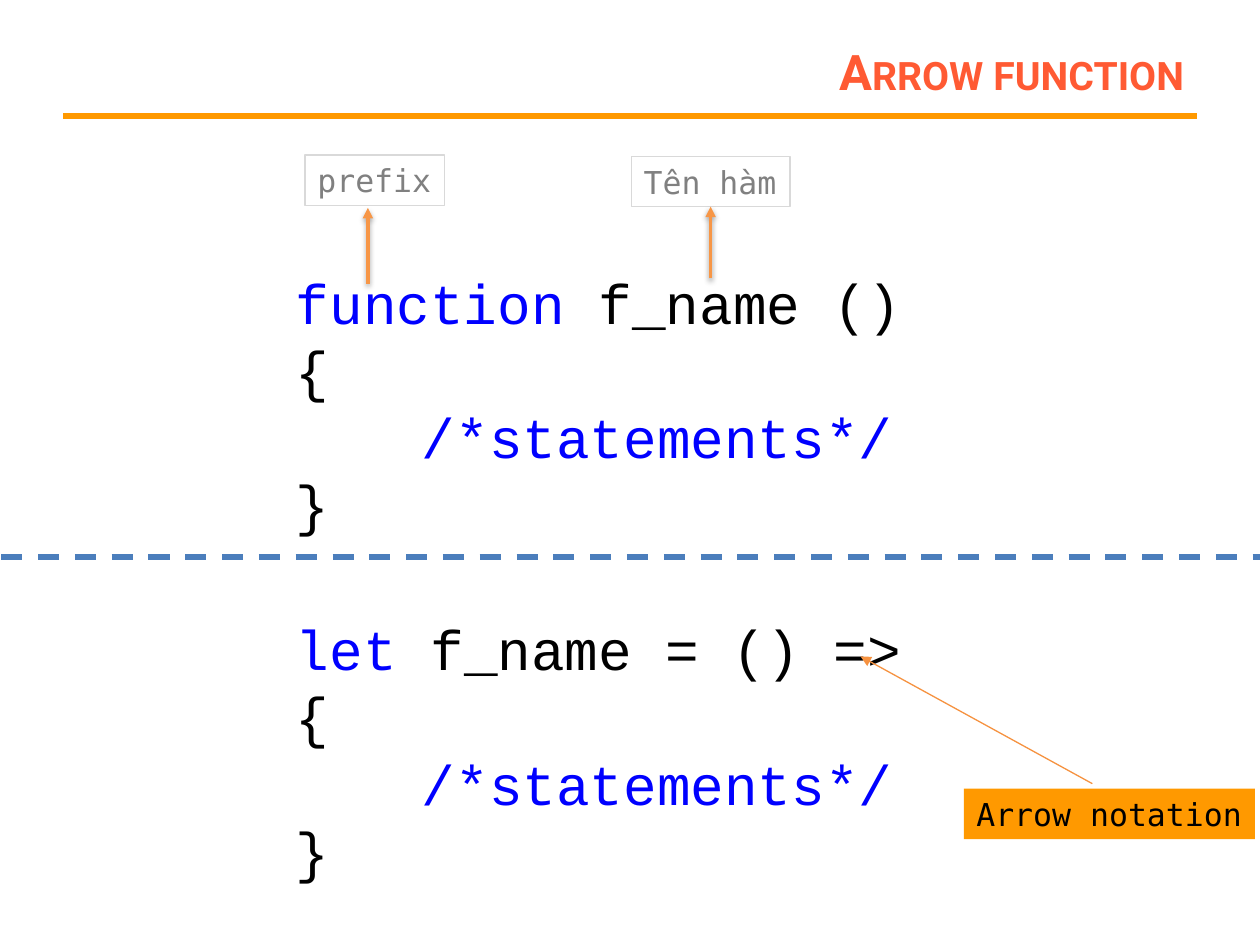
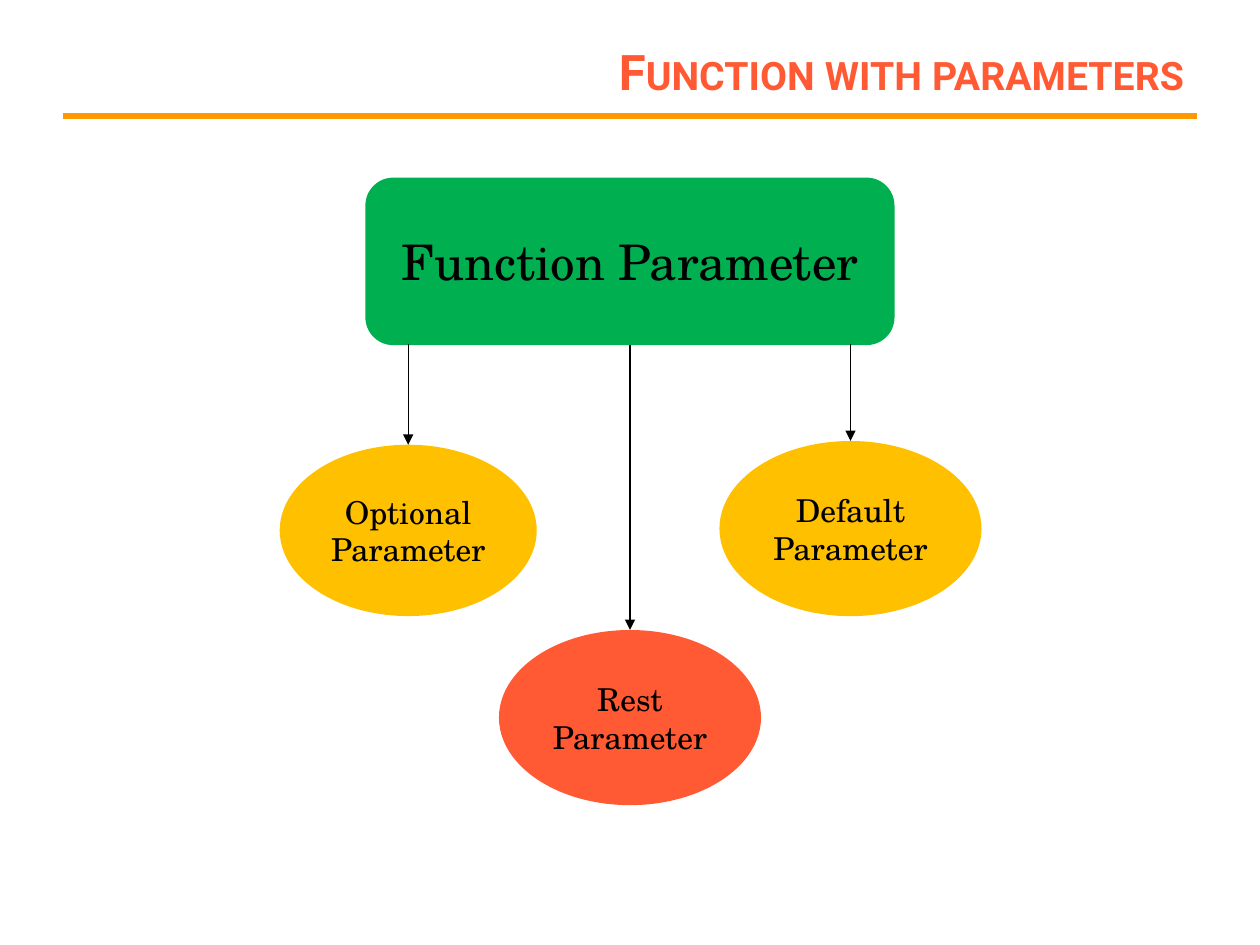
import pptx
import pptx.dml.color
import pptx.enum.dml
import pptx.enum.shapes
import pptx.enum.text
import pptx.oxml
import pptx.oxml.ns
import pptx.util
from pptx.util import Inches

COLORS = {
    "title": "FF5A33", "orange": "FF9900", "keyword": "0000FF", "black": "000000",
    "divider": "4B7EBC", "label": "808080", "label border": "D9D9D9",
    "label arrow": "F79646", "notation arrow": "F69240",
    "green": "00B050", "amber": "FFC000",
}
SHAPE = pptx.enum.shapes.MSO_SHAPE
ALIGN = pptx.enum.text.PP_ALIGN
MIDDLE = pptx.enum.text.MSO_ANCHOR.MIDDLE
RGB = pptx.dml.color.RGBColor.from_string


def add_run(paragraph, text, font_name, size, color):
    run = paragraph.add_run()
    run.text = text
    run.font.name = font_name
    run.font.size = pptx.util.Pt(size)
    run.font.color.rgb = RGB(COLORS[color])
    return run


def add_line(slide, start, end, color, width, arrow=True, shadow=False):
    """Draw a straight line; the theme's own shadow stays only if asked for."""
    line = slide.shapes.add_connector(
        pptx.enum.shapes.MSO_CONNECTOR.STRAIGHT, *map(Inches, start + end))
    line.line.color.rgb = RGB(COLORS[color])
    line.line.width = pptx.util.Pt(width)
    properties = line._element.spPr
    if arrow:
        tail = pptx.oxml.parse_xml(
            f'<a:tailEnd {pptx.oxml.ns.nsdecls("a")} type="triangle"/>')
        properties.find(pptx.oxml.ns.qn("a:ln")).append(tail)
    if not shadow:
        properties.append(pptx.oxml.parse_xml(
            f'<a:effectLst {pptx.oxml.ns.nsdecls("a")}/>'))
    return line


deck = pptx.Presentation()
deck.slide_width, deck.slide_height = Inches(10), Inches(7.5)

# Shared layout: title position, title style and the rule below it
layout = deck.slide_layouts[5]
layout_title = layout.placeholders[0]
layout_title.left, layout_title.top = Inches(2.25), Inches(0.3)
layout_title.width, layout_title.height = Inches(7.25), Inches(0.53)

slides = []
for heading in ("Arrow function", "Function with parameters"):
    slide = deck.slides.add_slide(layout)
    slide.shapes.title.text_frame.vertical_anchor = MIDDLE
    title_paragraph = slide.shapes.title.text_frame.paragraphs[0]
    title_paragraph.alignment = ALIGN.RIGHT
    title_run = add_run(title_paragraph, heading, "Roboto", 28, "title")
    title_run.font.bold = True
    title_run.font._element.set("cap", "small")
    slides.append(slide)
syntax_slide, parameter_slide = slides

title_rule = add_line(syntax_slide, (0.5, 0.92), (9.5, 0.92), "orange", 3, arrow=False)
layout.shapes._spTree.append(title_rule._element)

# Slide 1: the two ways to write a function, each line with its indent
function_body = [
    (0, [("{", "black")]),
    (1, [("/*statements*/", "keyword")]),
    (0, [("}", "black")]),
]
signatures = [
    (2.08, [("function ", "keyword"), ("f_name ()", "black")]),
    (4.83, [("let ", "keyword"), ("f_name = () =>", "black")]),
]
for top, signature in signatures:
    code = syntax_slide.shapes.add_textbox(
        Inches(2.25), Inches(top), Inches(6.26), Inches(2.26)).text_frame
    code.word_wrap = True
    for index, (indent, code_line) in enumerate([(0, signature)] + function_body):
        paragraph = code.add_paragraph() if index else code.paragraphs[0]
        paragraph.line_spacing = 1.0
        paragraph._p.get_or_add_pPr().set("marL", str(Inches(indent)))
        for text, color in code_line:
            add_run(paragraph, text, "Courier New", 32, color)

callouts = {}
for text, left, top, width, fill, border, color in [
    ("Arrow notation", 7.65, 6.26, 2.31, "orange", None, "black"),
    ("prefix", 2.42, 1.23, 1.11, None, "label border", "label"),
    ("Tên hàm", 5.01, 1.24, 1.26, None, "label border", "label"),
]:
    callout = syntax_slide.shapes.add_shape(
        SHAPE.RECTANGLE, Inches(left), Inches(top), Inches(width), Inches(0.4))
    callout.shadow.inherit = False
    if fill:
        callout.fill.solid()
        callout.fill.fore_color.rgb = RGB(COLORS[fill])
    else:
        callout.fill.background()
    if border:
        callout.line.color.rgb = RGB(COLORS[border])
        callout.line.width = pptx.util.Pt(0.75)
    else:
        callout.line.fill.background()
    callout.text_frame.word_wrap = False
    paragraph = callout.text_frame.paragraphs[0]
    paragraph.alignment = ALIGN.LEFT
    add_run(paragraph, text, "DejaVu Sans Mono", 18, color)
    callouts[text] = callout

add_line(syntax_slide, (8.67, 6.22), (6.83, 5.21), "notation arrow", 0.75)
divider = add_line(syntax_slide, (0.01, 4.42), (10, 4.42), "divider", 3, arrow=False)
divider.line.dash_style = pptx.enum.dml.MSO_LINE.DASH
add_line(syntax_slide, (2.92, 2.25), (2.92, 1.65), "label arrow", 2, shadow=True)
name_arrow = add_line(syntax_slide, (5.64, 2.21), (5.64, 1.61), "label arrow", 2, shadow=True)
name_arrow.end_connect(callouts["Tên hàm"], 2)

# Slide 2: kinds of function parameter
nodes = {}
for text, kind, left, top, width, height, fill, size in [
    ("Function Parameter", SHAPE.ROUNDED_RECTANGLE, 2.9, 1.41, 4.2, 1.33, "green", 28),
    ("Optional Parameter", SHAPE.OVAL, 2.22, 3.53, 2.04, 1.36, "amber", 18),
    ("Default Parameter", SHAPE.OVAL, 5.71, 3.5, 2.08, 1.39, "amber", 18),
    ("Rest Parameter", SHAPE.OVAL, 3.96, 5, 2.08, 1.39, "title", 18),
]:
    node = parameter_slide.shapes.add_shape(
        kind, Inches(left), Inches(top), Inches(width), Inches(height))
    node.shadow.inherit = False
    node.fill.solid()
    node.fill.fore_color.rgb = RGB(COLORS[fill])
    node.line.fill.background()
    node.text_frame.word_wrap = True
    node.text_frame.vertical_anchor = MIDDLE
    paragraph = node.text_frame.paragraphs[0]
    paragraph.alignment = ALIGN.CENTER
    add_run(paragraph, text, "TeX Gyre Schola", size, "black")
    nodes[text] = node

for target, x, bottom in [
    ("Optional Parameter", 3.24, 3.5),
    ("Default Parameter", 6.75, 3.5),
    ("Rest Parameter", 5, 5),
]:
    branch = add_line(parameter_slide, (x, 2.73), (x, bottom), "black", 0.75)
    if target == "Rest Parameter":
        branch.begin_connect(nodes["Function Parameter"], 2)
    branch.end_connect(nodes[target], 0)

deck.save("out.pptx")
